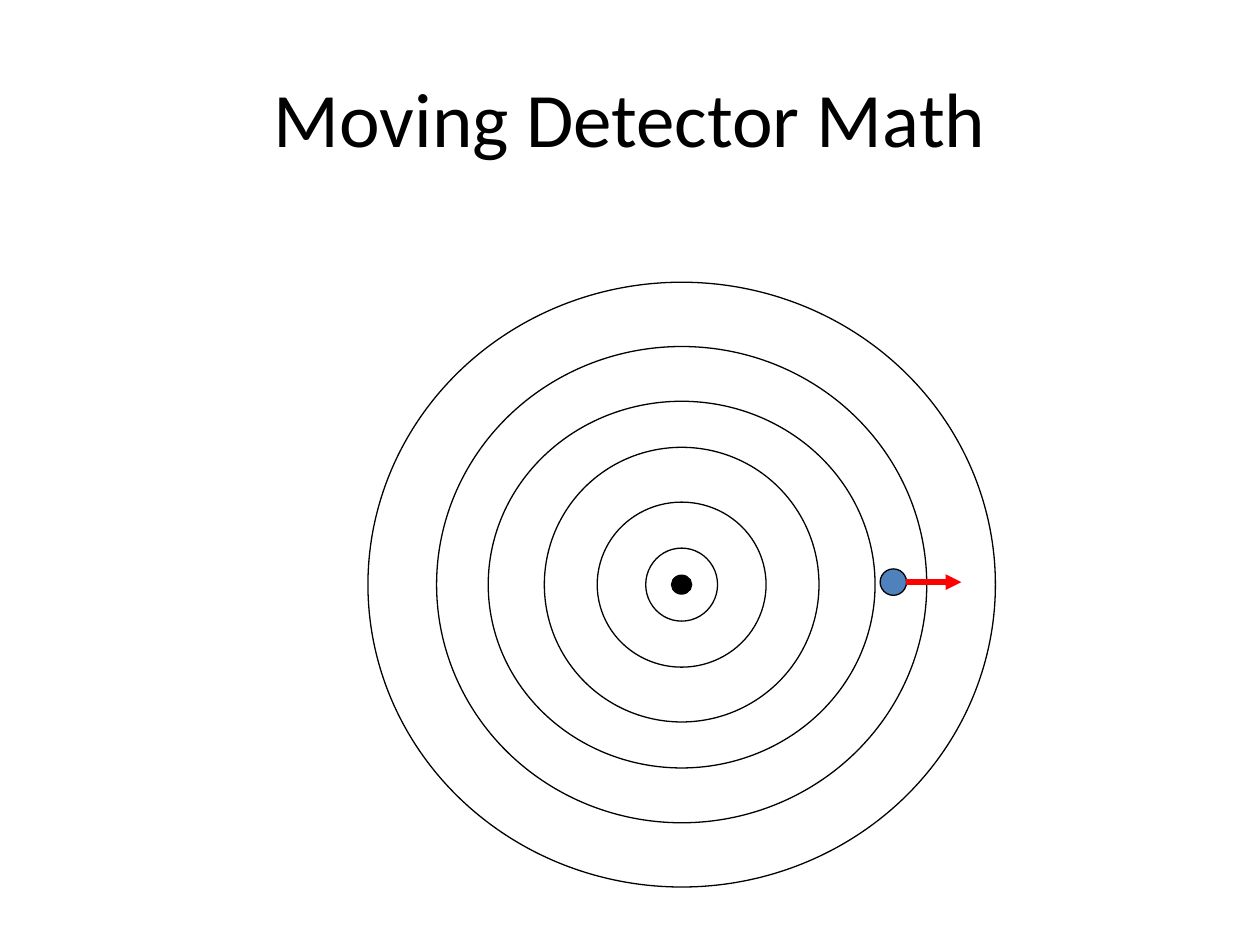
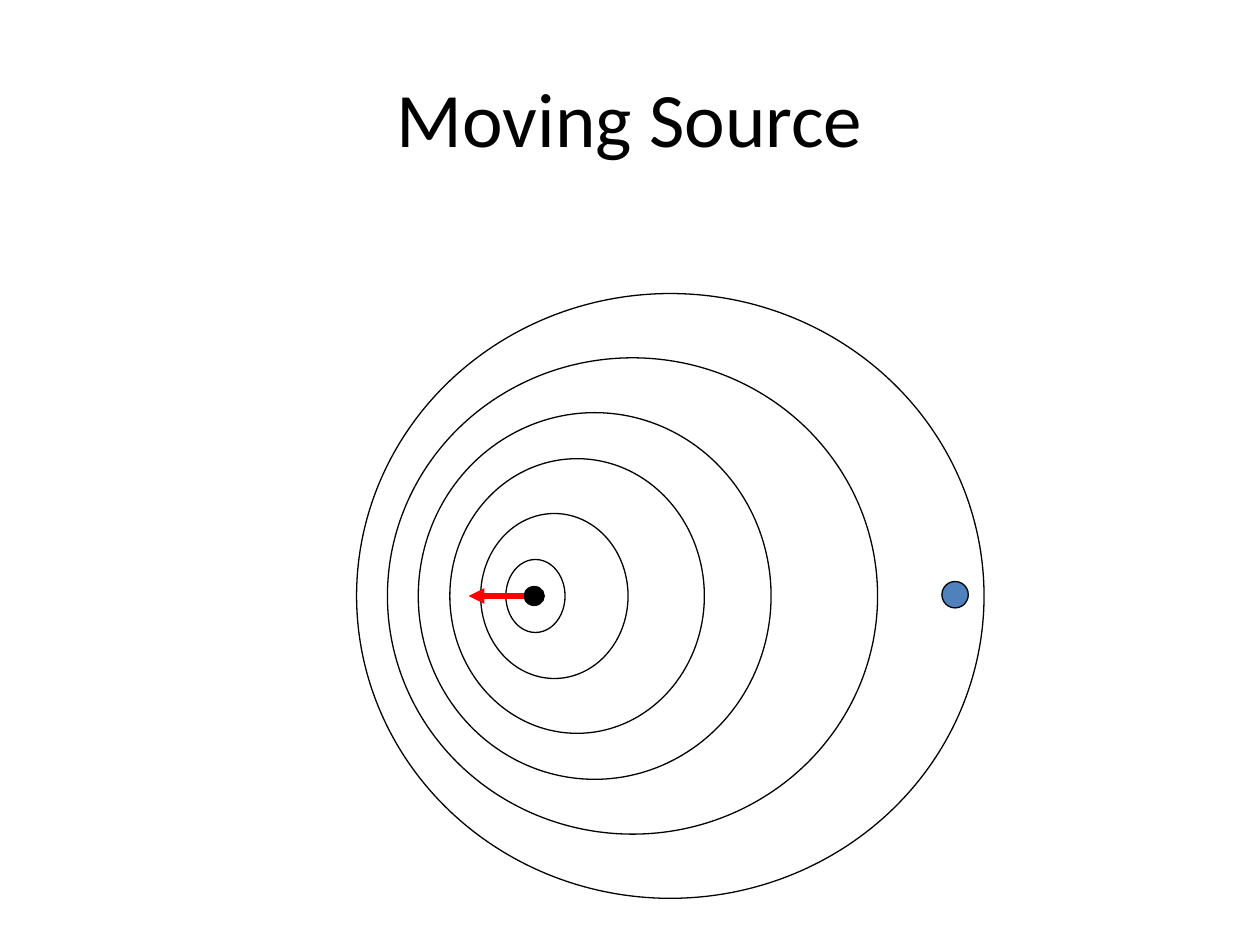
import pptx
import pptx.util
import pptx.dml.color
import pptx.enum.shapes
import pptx.enum.text
import pptx.oxml.ns
import lxml.etree

Inches = pptx.util.Inches
RGBColor = pptx.dml.color.RGBColor

BLACK = RGBColor(0x00, 0x00, 0x00)
WHITE = RGBColor(0xFF, 0xFF, 0xFF)
DETECTOR_BLUE = RGBColor(0x4F, 0x81, 0xBD)
MOTION_RED = RGBColor(0xFF, 0x00, 0x00)
FONT = "Calibri"

# Wave fronts share their heights on both slides, outermost first
WAVE_HEIGHTS = [4.8, 3.78, 2.91, 2.18, 1.31, 0.58]
SOURCE_WIDTH, SOURCE_HEIGHT = 0.16, 0.15
DETECTOR_SIZE = 0.21
ARROW_LENGTH = 0.44

# Each wave is (center x, width); the moving source shifts the centers
SLIDES = [
    {
        "title": "Moving Detector Math",
        "center_y": 4.64,
        "waves": [(5.41, width) for width in (4.98, 3.89, 3.07, 2.18, 1.34, 0.57)],
        "source_x": 5.41,
        "detector": (7.09, 4.62),
        "arrow_start": (7.19, 4.62),
        "direction": 1,
    },
    {
        "title": "Moving Source",
        "center_y": 4.73,
        "waves": [(5.32, 4.98), (5.02, 3.89), (4.72, 2.8),
                  (4.58, 2.02), (4.4, 1.17), (4.25, 0.47)],
        "source_x": 4.24,
        "detector": (7.58, 4.72),
        "arrow_start": (4.16, 4.73),
        "direction": -1,
    },
]


def add_ellipse(page, center_x, center_y, width, height, color):
    ellipse = page.shapes.add_shape(
        pptx.enum.shapes.MSO_SHAPE.OVAL,
        Inches(center_x - width / 2), Inches(center_y - height / 2),
        Inches(width), Inches(height))
    ellipse.shadow.inherit = False
    ellipse.fill.solid()
    ellipse.fill.fore_color.rgb = color
    ellipse.line.color.rgb = BLACK
    ellipse.line.width = pptx.util.Pt(0.75)


def add_arrow(page, start, end):
    arrow = page.shapes.add_connector(
        pptx.enum.shapes.MSO_CONNECTOR.STRAIGHT,
        *[Inches(value) for value in (*start, *end)])
    arrow.line.color.rgb = MOTION_RED
    arrow.line.width = pptx.util.Pt(3)
    qname = pptx.oxml.ns.qn
    lxml.etree.SubElement(arrow.line._get_or_add_ln(), qname("a:tailEnd"), type="triangle")
    lxml.etree.SubElement(arrow._element.spPr, qname("a:effectLst"))


deck = pptx.Presentation()
deck.slide_width = Inches(10)
deck.slide_height = Inches(7.5)

for content in SLIDES:
    page = deck.slides.add_slide(deck.slide_layouts[6])
    center_y = content["center_y"]

    # Title
    box = page.shapes.add_textbox(Inches(0.5), Inches(0.3), Inches(9), Inches(1.25))
    box.text_frame.word_wrap = True
    box.text_frame.vertical_anchor = pptx.enum.text.MSO_ANCHOR.MIDDLE
    para = box.text_frame.paragraphs[0]
    para.alignment = pptx.enum.text.PP_ALIGN.CENTER
    span = para.add_run()
    span.text = content["title"]
    span.font.name = FONT
    span.font.size = pptx.util.Pt(44)
    span.font.color.rgb = BLACK

    # Wave fronts, source and detector
    for (center_x, width), height in zip(content["waves"], WAVE_HEIGHTS):
        add_ellipse(page, center_x, center_y, width, height, WHITE)
    add_ellipse(page, content["source_x"], center_y, SOURCE_WIDTH, SOURCE_HEIGHT, BLACK)
    add_ellipse(page, *content["detector"], DETECTOR_SIZE, DETECTOR_SIZE, DETECTOR_BLUE)

    # Direction of motion
    start_x, start_y = content["arrow_start"]
    end_x = start_x + content["direction"] * ARROW_LENGTH
    add_arrow(page, (start_x, start_y), (end_x, start_y))

deck.save("out.pptx")
